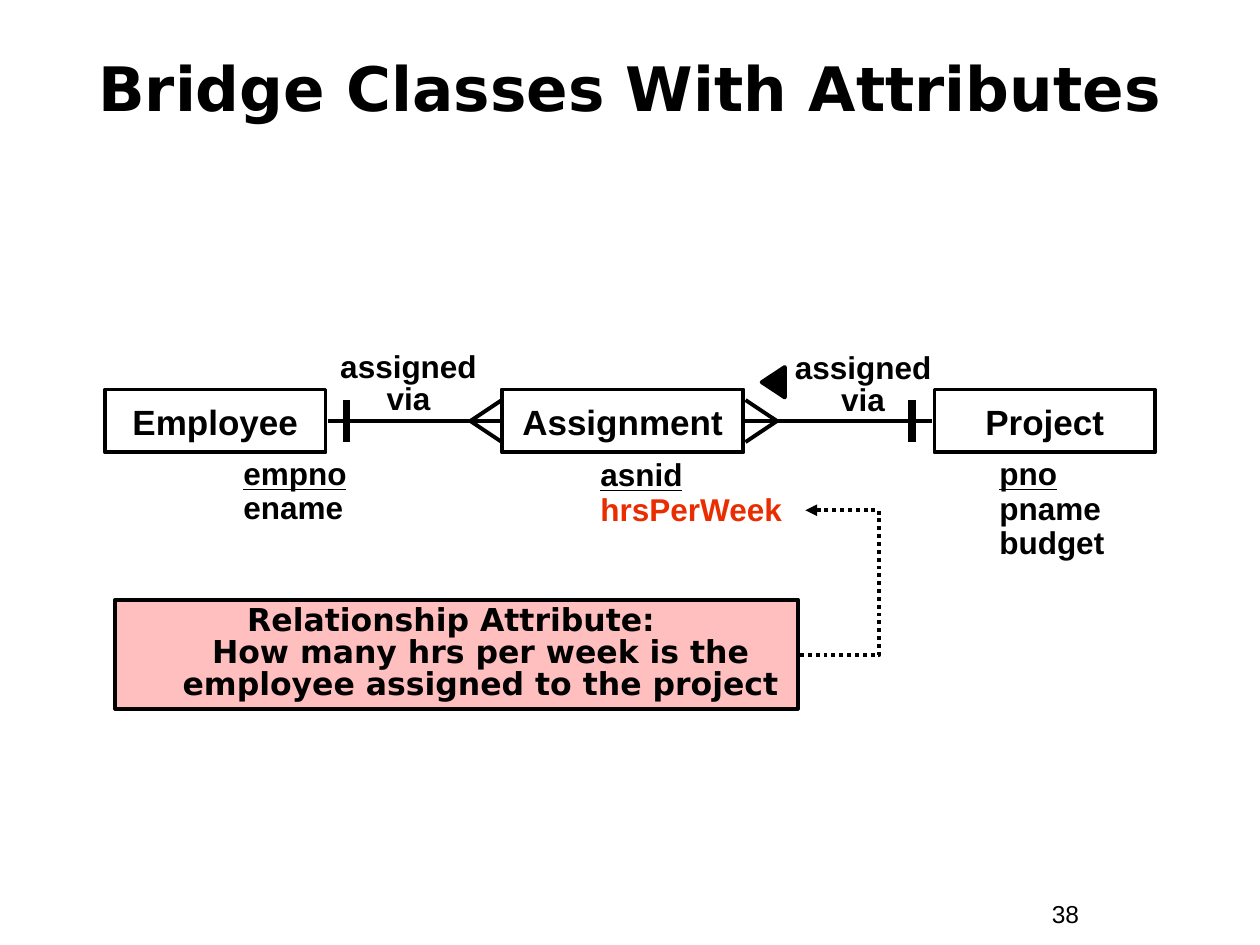
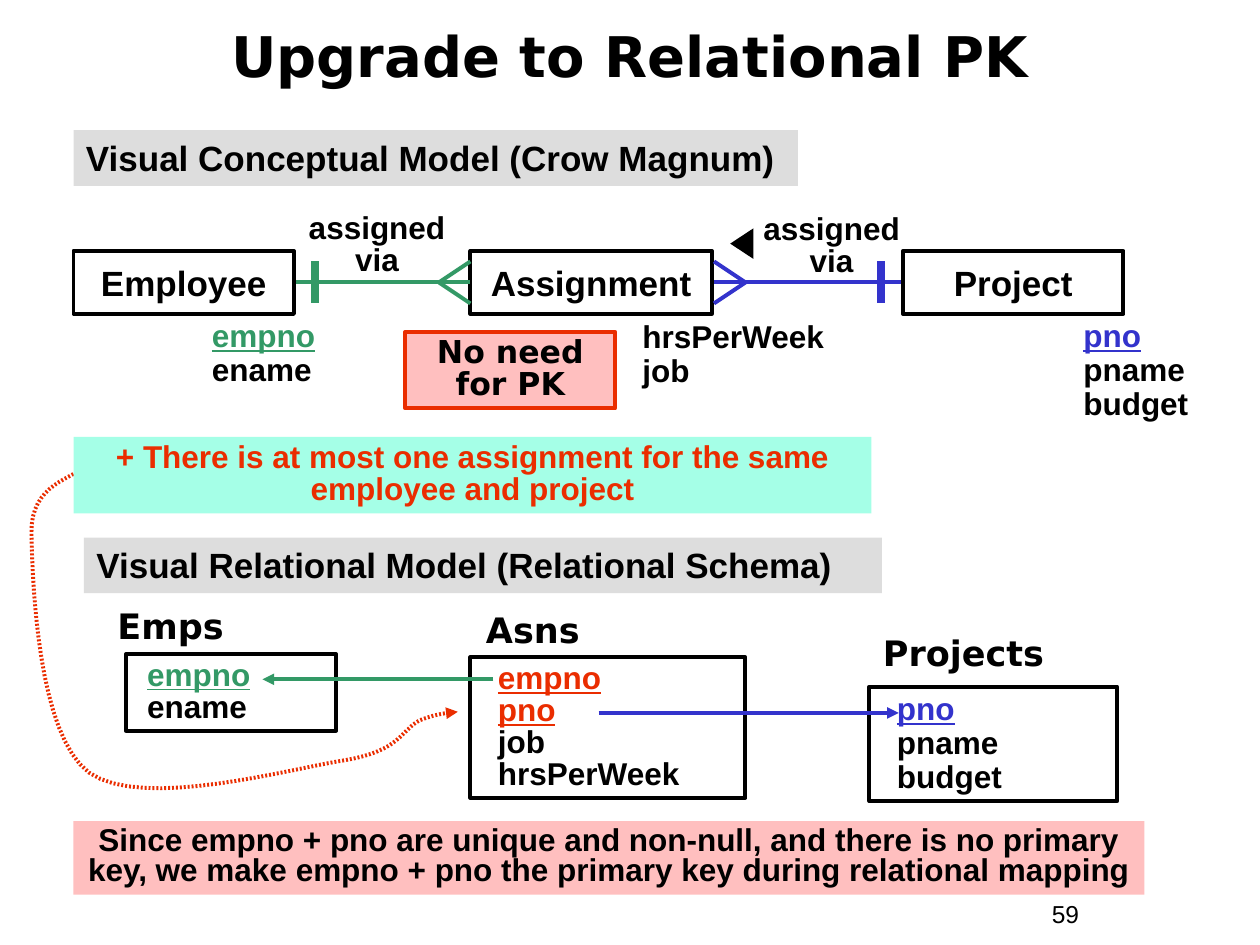
from lxml import etree
from pptx import Presentation
from pptx import util as u
from pptx.dml.color import RGBColor
from pptx.enum import dml, shapes, text
from pptx.oxml import ns

BLACK = RGBColor(0x00, 0x00, 0x00)
RED = RGBColor(0xEA, 0x2D, 0x00)
GREEN = RGBColor(0x33, 0x99, 0x66)
BLUE = RGBColor(0x33, 0x33, 0xCC)
PINK = RGBColor(0xFF, 0xBF, 0xBF)
MINT = RGBColor(0xA5, 0xFF, 0xE7)
GREY = RGBColor(0xDD, 0xDD, 0xDD)

SANS, DISPLAY = "Arial", "DejaVu Sans"
SLIDE_W, SLIDE_H = u.Inches(10), u.Inches(7.5)
COLUMNS = 120
CELL = SLIDE_W / COLUMNS
THIN, THICK = 2.25, 4.5
CENTER, LEFT = text.PP_ALIGN.CENTER, text.PP_ALIGN.LEFT
TOP, MIDDLE = text.MSO_ANCHOR.TOP, text.MSO_ANCHOR.MIDDLE


def cells(*counts):
    return [u.Emu(round(count * CELL)) for count in counts]


def key(name, color=BLACK):
    return name, color, True


def write(frame, lines, face=SANS, size=18, bold=True, color=BLACK, align=LEFT,
          spacing=1.0, anchor=TOP, wrap=True, indent=0, hanging=0):
    frame.word_wrap = wrap
    frame.vertical_anchor = anchor
    frame.auto_size = text.MSO_AUTO_SIZE.NONE
    for number, line in enumerate(lines):
        content, ink, underline = line if isinstance(line, tuple) else (line, color, False)
        paragraph = frame.paragraphs[0] if number == 0 else frame.add_paragraph()
        paragraph.alignment = align
        paragraph.line_spacing = spacing
        paragraph.space_before = u.Pt(0)
        properties = paragraph._p.get_or_add_pPr()
        properties.set("marL", str(u.Inches(indent)))
        properties.set("indent", str(u.Inches(-hanging)))
        for part, words in enumerate(content.split("\n")):
            if part:
                paragraph.add_line_break()
            run = paragraph.add_run()
            run.text = words
            run.font.name, run.font.size, run.font.bold = face, u.Pt(size), bold
            run.font.underline = underline
            run.font.color.rgb = ink


def paint(shape, fill=None, border=None):
    shape.shadow.inherit = False
    if fill is None:
        shape.fill.background()
    else:
        shape.fill.solid()
        shape.fill.fore_color.rgb = fill
    if border is None:
        shape.line.fill.background()
    else:
        stroke(shape.line, border)


def stroke(line, color, width=THIN):
    line.color.rgb = color
    line.width = u.Pt(width)


def add_tip(line):
    etree.SubElement(line._get_or_add_ln(), ns.qn("a:tailEnd"), type="triangle")


def label(slide, area, lines, **style):
    write(slide.shapes.add_textbox(*cells(*area)).text_frame, lines, **style)


def panel(slide, area, lines, fill=None, border=None, **style):
    shape = slide.shapes.add_shape(shapes.MSO_SHAPE.RECTANGLE, *cells(*area))
    paint(shape, fill, border)
    write(shape.text_frame, lines, **style)


def link(slide, start, end, color=BLACK, width=THIN, tip=False,
         kind=shapes.MSO_CONNECTOR.STRAIGHT, dash=None):
    connector = slide.shapes.add_connector(kind, *cells(*start, *end))
    stroke(connector.line, color, width)
    if dash is not None:
        connector.line.dash_style = dash
    if tip:
        add_tip(connector.line)
    etree.SubElement(connector._element.spPr, ns.qn("a:effectLst"))
    return connector


def bend(connector, ratio):
    geometry = connector._element.spPr.find(ns.qn("a:prstGeom"))
    adjustments = geometry.find(ns.qn("a:avLst"))
    if adjustments is None:
        adjustments = etree.SubElement(geometry, ns.qn("a:avLst"))
    etree.SubElement(adjustments, ns.qn("a:gd"), name="adj1",
                     fmla=f"val {round(ratio * 100000)}")


def bezier(p0, p1, p2, p3, steps=16):
    for step in range(1, steps + 1):
        t = step / steps
        s = 1 - t
        yield tuple(s**3 * a + 3 * s * s * t * b + 3 * s * t * t * c + t**3 * d
                    for a, b, c, d in zip(p0, p1, p2, p3))


def dotted_curve(slide, anchors, color):
    points = [cells(*point) for first in range(0, len(anchors) - 1, 3)
              for point in bezier(*anchors[first:first + 4])]
    outline = slide.shapes.build_freeform(*cells(*anchors[0]))
    outline.add_line_segments(points, close=False)
    curve = outline.convert_to_shape()
    paint(curve, border=color)
    dots = etree.SubElement(curve.line._get_or_add_ln(), ns.qn("a:custDash"))
    etree.SubElement(dots, ns.qn("a:ds"), d="50000", sp="50000")
    add_tip(curve.line)


def start_slide(deck, heading, size, top, height, page, spacing=1.0):
    slide = deck.slides.add_slide(deck.slide_layouts[5])
    title = slide.shapes.title
    title.left, title.top, title.width, title.height = cells(4, top, 112, height)
    write(title.text_frame, [heading], DISPLAY, size, align=CENTER,
          spacing=spacing, anchor=MIDDLE)
    label(slide, (99, 85, 11, 4.1), [page], size=14, bold=False)
    return slide


def crow_foot_link(slide, y, entity, bar, apex, assignment, color):
    link(slide, (entity, y), (assignment, y), color)
    for toe in (-2, 2):
        link(slide, (apex, y), (assignment, y + toe), color)
    link(slide, (bar, y - 2), (bar, y + 2), color, THICK)


def er_diagram(slide, x, y, attributes, left_color=BLACK, right_color=BLACK,
               pointer_border=None):
    for name, offset, width in (("Employee", 0, 21), ("Assignment", 37.8, 23),
                                ("Project", 79, 21)):
        panel(slide, (x + offset, y, width, 6), [name], border=BLACK, size=20,
              align=CENTER, anchor=MIDDLE, wrap=False)
    crow_foot_link(slide, y + 3, x + 21.2, x + 23, x + 34.8, x + 37.8, left_color)
    crow_foot_link(slide, y + 3, x + 78.8, x + 76.9, x + 64, x + 61, right_color)
    for offset, rise in ((20.9, 4.1), (64.2, 4)):
        label(slide, (x + offset, y - rise, 16, 7.3), ["assigned via"],
              align=CENTER, spacing=0.85)
    pointer = slide.shapes.add_shape(shapes.MSO_SHAPE.ISOSCELES_TRIANGLE,
                                     *cells(x + 62.2, y - 1.8, 2.9, 2.2))
    pointer.rotation = 270
    paint(pointer, BLACK, pointer_border)
    for offset, drop, width, names in attributes:
        label(slide, (x + offset, y + drop, width, 1.2 + 3.24 * len(names)), names,
              spacing=0.9)


def relation(slide, name, name_at, area, columns, spacing=0.85, indent=0.12):
    label(slide, (*name_at, 25.8, 5.3), [name], face=DISPLAY, size=20)
    panel(slide, area, columns, border=BLACK, spacing=spacing, indent=indent)


def bridge_slide(deck):
    slide = start_slide(deck, "Bridge Classes With Attributes", 35, 2.8, 11, "38")
    callout = link(slide, (76.2, 62.4), (76.7, 48.6), tip=True,
                   kind=shapes.MSO_CONNECTOR.ELBOW, dash=dml.MSO_LINE.ROUND_DOT)
    bend(callout, 15)
    panel(slide, (11, 57.1, 65, 10.4),
          ["Relationship Attribute: \nHow many hrs per week is the employee "
           "assigned to the project"],
          PINK, BLACK, face=DISPLAY, align=CENTER, spacing=0.85, anchor=MIDDLE,
          indent=0.38, hanging=0.38)
    er_diagram(slide, 10, 37.1, [
        (12, 6, 18, [key("empno"), "ename"]),
        (46, 6.1, 21, [key("asnid"), ("hrsPerWeek", RED, False)]),
        (84, 6, 20, [key("pno"), "pname", "budget"]),
    ], pointer_border=BLACK)


def upgrade_slide(deck):
    slide = start_slide(deck, "Upgrade to Relational PK", 32, 1.3, 9, "59", 0.85)
    er_diagram(slide, 7, 23.9, [
        (12, 6, 18, [key("empno", GREEN), "ename"]),
        (53, 6.1, 21, ["hrsPerWeek", "job"]),
        (95, 6, 14, [key("pno", BLUE), "pname", "budget"]),
    ], GREEN, BLUE)

    relation(slide, "Asns", (45.1, 57.4), (44.8, 62.6, 26.2, 13.4),
             [key("empno", RED), key("pno", RED), "job", "hrsPerWeek"])
    relation(slide, "Projects", (82.9, 59.6), (82.8, 65.4, 23.6, 10.9),
             [key("pno", BLUE), "pname", "budget"], spacing=0.9)
    relation(slide, "Emps", (10, 57), (12, 62.3, 20, 7.3),
             [key("empno", GREEN), "ename"], indent=0.07)
    link(slide, (47, 64.7), (25, 64.7), GREEN, tip=True)
    link(slide, (57, 67.9), (85.6, 67.9), BLUE, tip=True)

    for area, heading in (
            ((7, 12.4, 69, 5.3), "Visual Conceptual Model (Crow Magnum)"),
            ((8, 51.2, 76, 5.3), "Visual Relational Model (Relational Schema)")):
        panel(slide, area, [heading], GREY, size=20)

    dotted_curve(slide, [
        (7.9, 44.5), (7.1, 45.6), (2.9, 46), (3, 50.8),
        (3.1, 55.6), (3.6, 70), (8.5, 73.6),
        (13.6, 77.2), (27.7, 73.2), (32.9, 72.4),
        (38.2, 71.5), (38.2, 69.5), (40, 68.6),
        (41.8, 67.9), (42.8, 67.9), (43.6, 67.8),
    ], RED)
    panel(slide, (7, 41.6, 76, 7.3),
          ["+ There is at most one assignment for the same employee and project"],
          MINT, color=RED, align=CENTER, spacing=0.85)
    panel(slide, (38.6, 31.6, 20, 7.3), ["No need for PK"], PINK, RED,
          face=DISPLAY, align=CENTER, spacing=0.85)
    panel(slide, (7, 78.2, 102, 7),
          ["Since empno + pno are unique and non-null, and there is no primary key, "
           "we make empno + pno the primary key during relational mapping"],
          PINK, align=CENTER, spacing=0.8)


def main():
    deck = Presentation()
    deck.slide_width, deck.slide_height = SLIDE_W, SLIDE_H
    bridge_slide(deck)
    upgrade_slide(deck)
    deck.save("out.pptx")


if __name__ == "__main__":
    main()
